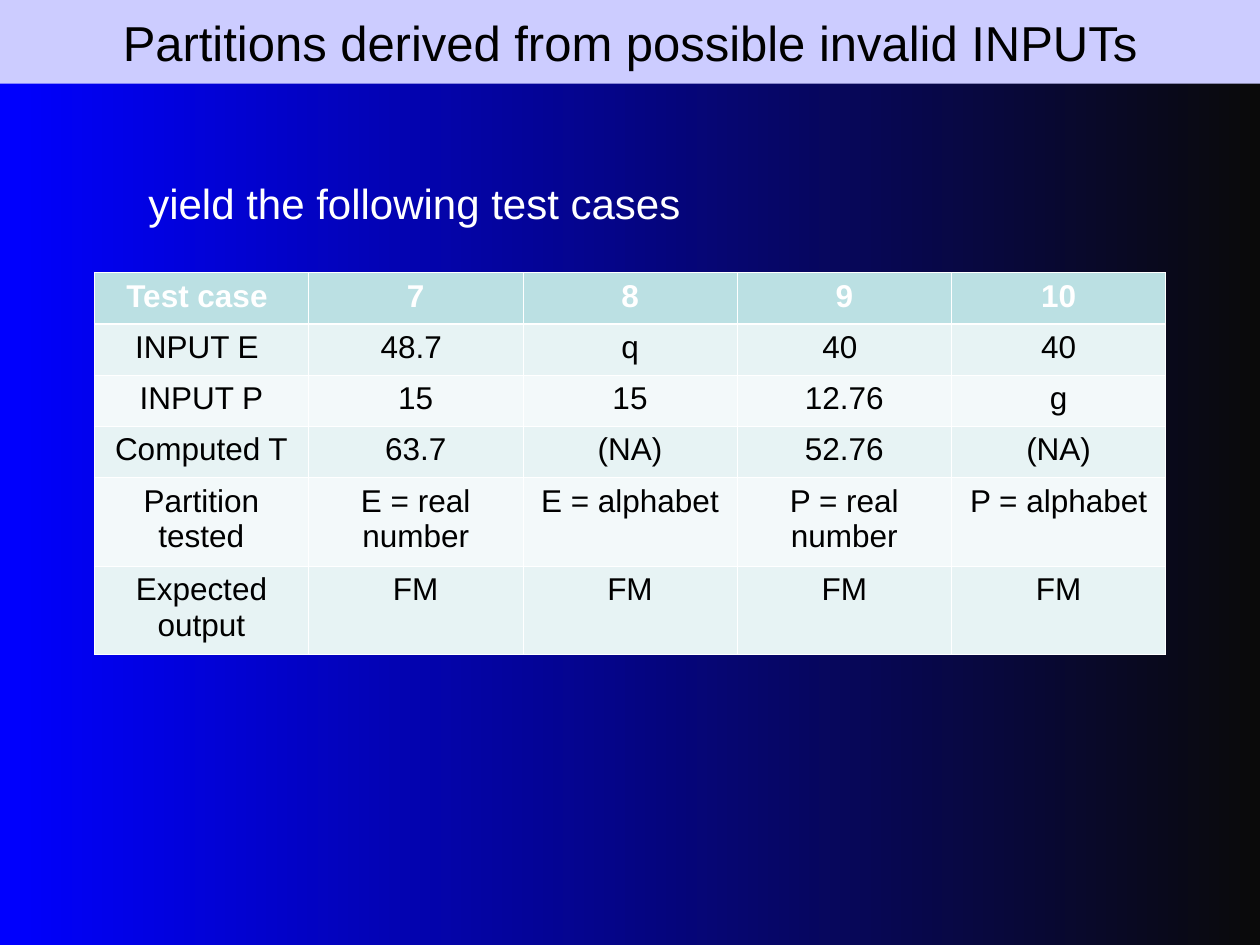
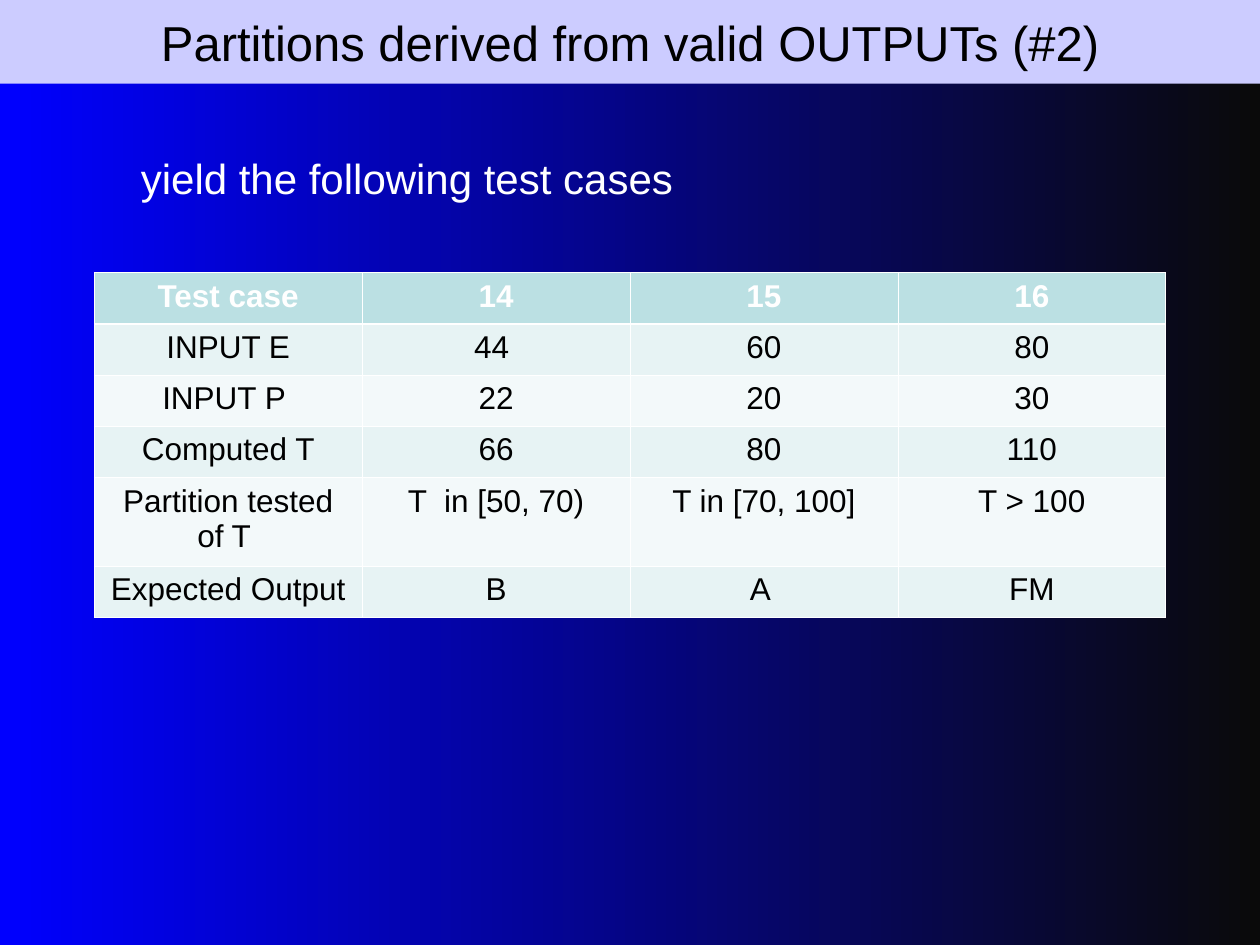
from lxml.etree import SubElement
from pptx import Presentation
from pptx.dml.color import RGBColor
from pptx.enum.shapes import MSO_SHAPE
from pptx.enum.text import MSO_ANCHOR, PP_ALIGN
from pptx.oxml.ns import qn
from pptx.util import Cm, Pt

BLUE = RGBColor(0x00, 0x00, 0xFF)
NIGHT = RGBColor(0x0A, 0x0A, 0x0A)
LILAC = RGBColor(0xCC, 0xCC, 0xFF)
WHITE = RGBColor(0xFF, 0xFF, 0xFF)
BLACK = RGBColor(0x00, 0x00, 0x00)
TEAL = RGBColor(0xBB, 0xE0, 0xE3)
MIST = RGBColor(0xE7, 0xF3, 0xF4)
PALE = RGBColor(0xF3, 0xF9, 0xFA)
FONT = "Arial"
THIN, THICK = Pt(0.45), Pt(1.47)
LOW, HIGH = Cm(1.03), Cm(1.79)
WIDE, TALL = Cm(25.4), Cm(19.05)


def write(frame, text, size, color, align, bold=False):
    para = frame.paragraphs[0]
    para.alignment = align
    run = para.add_run()
    run.text = text
    font = run.font
    font.name, font.size, font.bold = FONT, Pt(size), bold
    font.color.rgb = color


def paint(slide):
    fill = slide.background.fill
    fill.gradient()
    fill.gradient_angle = 0
    for stop, color in zip(fill.gradient_stops, (BLUE, NIGHT)):
        stop.color.rgb = color


def title(slide, text, box):
    band = slide.shapes.add_shape(MSO_SHAPE.RECTANGLE, *box)
    band.shadow.inherit = False
    band.fill.solid()
    band.fill.fore_color.rgb = LILAC
    band.line.fill.background()
    frame = band.text_frame
    frame.word_wrap = True
    frame.vertical_anchor = MSO_ANCHOR.MIDDLE
    write(frame, text, 28, BLACK, PP_ALIGN.CENTER)


def lead(slide, text, box):
    frame = slide.shapes.add_textbox(*box).text_frame
    frame.word_wrap = True
    write(frame, text, 24, WHITE, PP_ALIGN.LEFT)


def edge(cell, row):
    props = cell._tc.get_or_add_tcPr()
    sides = (
        ("a:lnL", THIN),
        ("a:lnR", THIN),
        ("a:lnT", THICK if row == 1 else THIN),
        ("a:lnB", THICK if row == 0 else THIN),
    )
    for spot, (tag, width) in enumerate(sides):
        line = SubElement(props, qn(tag), w=str(width))
        fill = SubElement(line, qn("a:solidFill"))
        SubElement(fill, qn("a:srgbClr"), val=str(WHITE))
        props.insert(spot, line)


def grid(slide, rows, tall, box):
    left, top, width = box
    count = len(rows[0])
    sizes = [HIGH if r in tall else LOW for r in range(len(rows))]
    table = slide.shapes.add_table(
        len(rows), count, left, top, width, sum(sizes)).table
    for col in table.columns:
        col.width = width // count
    for r, row in enumerate(rows):
        table.rows[r].height = sizes[r]
        head = r == 0
        for c, text in enumerate(row):
            cell = table.cell(r, c)
            cell.fill.solid()
            cell.fill.fore_color.rgb = TEAL if head else (PALE, MIST)[r % 2]
            edge(cell, r)
            write(cell.text_frame, text, 18, WHITE if head else BLACK,
                  PP_ALIGN.CENTER, head)


def page(deck, name, rows, tall, spot):
    slide = deck.slides.add_slide(deck.slide_layouts[6])
    paint(slide)
    title(slide, name, (0, 0, WIDE, Cm(1.69)))
    lead(slide, "yield the following test cases ", (*spot, Cm(11.86), Cm(1.27)))
    grid(slide, rows, tall, (Cm(1.9), Cm(5.5), Cm(21.6)))


FAULTS = (
    ("Test case ", "7", "8", "9", "10"),
    ("INPUT E ", "48.7 ", "q", "40 ", "40"),
    ("INPUT P", "15", "15", "12.76", "g"),
    ("Computed T", "63.7", "(NA)", "52.76", "(NA)"),
    ("Partition tested", "E = real number", "E = alphabet",
     "P = real number", "P = alphabet"),
    ("Expected output", "FM", "FM", "FM", "FM"),
)
GRADES = (
    ("Test case", "14", "15", "16"),
    ("INPUT E", "44 ", "60", "80"),
    ("INPUT P ", "22", "20", "30"),
    ("Computed T", "66", "80", "110"),
    ("Partition tested of T ", "T  in [50, 70)", "T in [70, 100]", "T > 100"),
    ("Expected Output", "B", "A ", "FM"),
)

deck = Presentation()
deck.slide_width, deck.slide_height = WIDE, TALL
page(deck, "Partitions derived from possible invalid INPUTs",
     FAULTS, (4, 5), (Cm(2.74), Cm(3.45)))
page(deck, "Partitions derived from valid OUTPUTs (#2)",
     GRADES, (4,), (Cm(2.59), Cm(2.95)))
deck.save("out.pptx")
